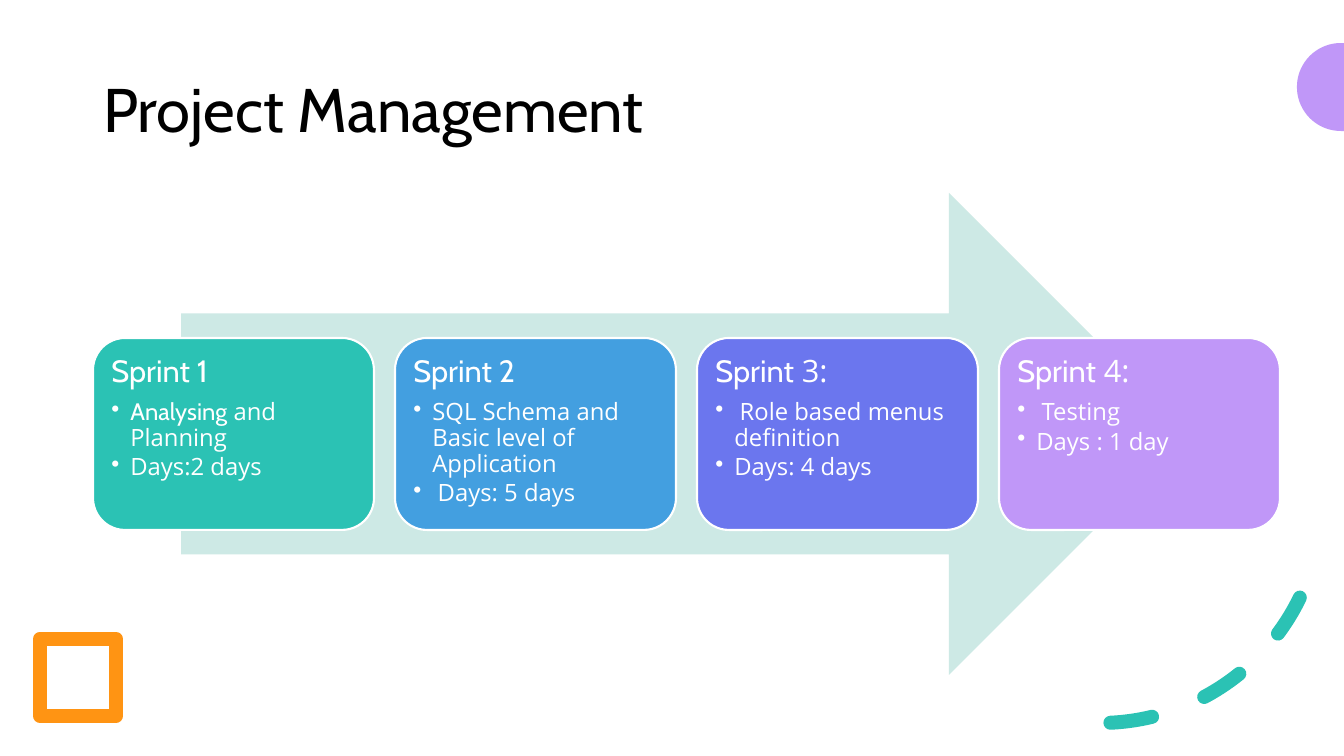
import math
from lxml import etree
from pptx import Presentation
from pptx import util as u
from pptx.dml.color import RGBColor
from pptx.enum import dml, shapes, text
from pptx.oxml.ns import qn

PX = 914400 / 100.8
COLORS = {
    "black": "000000", "white": "FFFFFF", "orange": "FF9413", "teal": "2BC2B4",
    "mint": "CDE9E5", "blue": "439FE0", "indigo": "6B76EE", "lilac": "C097F8",
}
HEAD, BODY = "Cabin", "Open Sans"


def px(*lengths):
    return [u.Emu(round(length * PX)) for length in lengths]


def style(shape, fill=None, line=None, width=0):
    shape.shadow.inherit = False
    if fill:
        shape.fill.solid()
        shape.fill.fore_color.rgb = RGBColor.from_string(COLORS[fill])
    else:
        shape.fill.background()
    if line:
        shape.line.color.rgb = RGBColor.from_string(COLORS[line])
        shape.line.width = u.Pt(width)
    else:
        shape.line.fill.background()


prs = Presentation()
prs.slide_width, prs.slide_height = px(1344, 756)
slide = prs.slides.add_slide(prs.slide_layouts[5])
add_shape = slide.shapes.add_shape

square = add_shape(shapes.MSO_SHAPE.RECTANGLE, *px(40, 639, 76, 77))
style(square, line="orange", width=10)
etree.SubElement(square.line._get_or_add_ln(), qn("a:round"))

swoosh = add_shape(shapes.MSO_SHAPE.ARC, *px(878, 279, 444, 444))
swoosh.adjustments[0], swoosh.adjustments[1] = 162, 200.931
swoosh.rotation = 357.3
swoosh._element.spPr.xfrm.set("flipV", "1")
style(swoosh, line="teal", width=10)
swoosh.line.dash_style = dml.MSO_LINE.DASH
swoosh.line._get_or_add_ln().set("cap", "rnd")

angles = [math.radians(90 + 5 * step) for step in range(37)]
rim = [(1341 + 44 * math.cos(a), 87 - 44 * math.sin(a)) for a in angles]
outline = slide.shapes.build_freeform(*px(1344, 43), scale=1.0)
outline.add_line_segments([px(*point) for point in rim + [(1344, 131)]], close=True)
style(outline.convert_to_shape(), fill="lilac")

title = slide.shapes.title
title.left, title.top, title.width, title.height = px(93, 40, 1159, 146)
title.text_frame.text = "Project Management"
title.text_frame.vertical_anchor = text.MSO_ANCHOR.MIDDLE
heading = title.text_frame.paragraphs[0]
heading.alignment = text.PP_ALIGN.LEFT
heading.line_spacing = 0.9
heading.font.name, heading.font.size = HEAD, u.Pt(44)
heading.font.color.rgb = RGBColor.from_string(COLORS["black"])

timeline = add_shape(shapes.MSO_SHAPE.RIGHT_ARROW, *px(181, 193, 1009, 482))
style(timeline, fill="mint")

sprints = [
    ("teal", [[("Sprint 1", HEAD)],
              [("Analysing", HEAD), (" and Planning", BODY)],
              [("Days:2 days", BODY)]]),
    ("blue", [[("Sprint 2", HEAD)],
              [("SQL Schema and Basic level of Application", BODY)],
              [(" ", HEAD), ("Days: 5 days", BODY)]]),
    ("indigo", [[("Sprint", HEAD), (" 3:", BODY)],
                [(" ", HEAD), ("Role based menus definition", BODY)],
                [("Days: 4 days", BODY)]]),
    ("lilac", [[("Sprint", HEAD), (" 4:", BODY)],
               [(" ", HEAD), ("Testing", BODY)],
               [("Days : 1 day", BODY)]]),
]
for column, (color, lines) in enumerate(sprints):
    sprint = add_shape(shapes.MSO_SHAPE.ROUNDED_RECTANGLE,
                       *px(93 + 302 * column, 338, 281, 192))
    style(sprint, fill=color, line="white", width=1.5)
    frame = sprint.text_frame
    frame.word_wrap = True
    frame.vertical_anchor = text.MSO_ANCHOR.TOP
    frame.margin_left, frame.margin_top, frame.margin_right, frame.margin_bottom = px(9, 9, 9, 9)
    for row, pieces in enumerate(lines):
        para = frame.add_paragraph() if row else frame.paragraphs[0]
        para.alignment = text.PP_ALIGN.LEFT
        para.line_spacing = 0.9
        para.space_after = u.Pt(2.55 if row else 7.7)
        para.font.size = u.Pt(17 if row else 22)
        para.font.color.rgb = RGBColor.from_string(COLORS["white"])
        if row:
            para.level = 1
            indent = px(19)[0]
            props = para._p.get_or_add_pPr()
            props.set("marL", str(indent))
            props.set("indent", str(-indent))
            bullet = etree.Element(qn("a:buChar"), char="•")
            props.find(qn("a:defRPr")).addprevious(bullet)
        for words, face in pieces:
            run = para.add_run()
            run.text = words
            run.font.name = face

prs.save("out.pptx")
